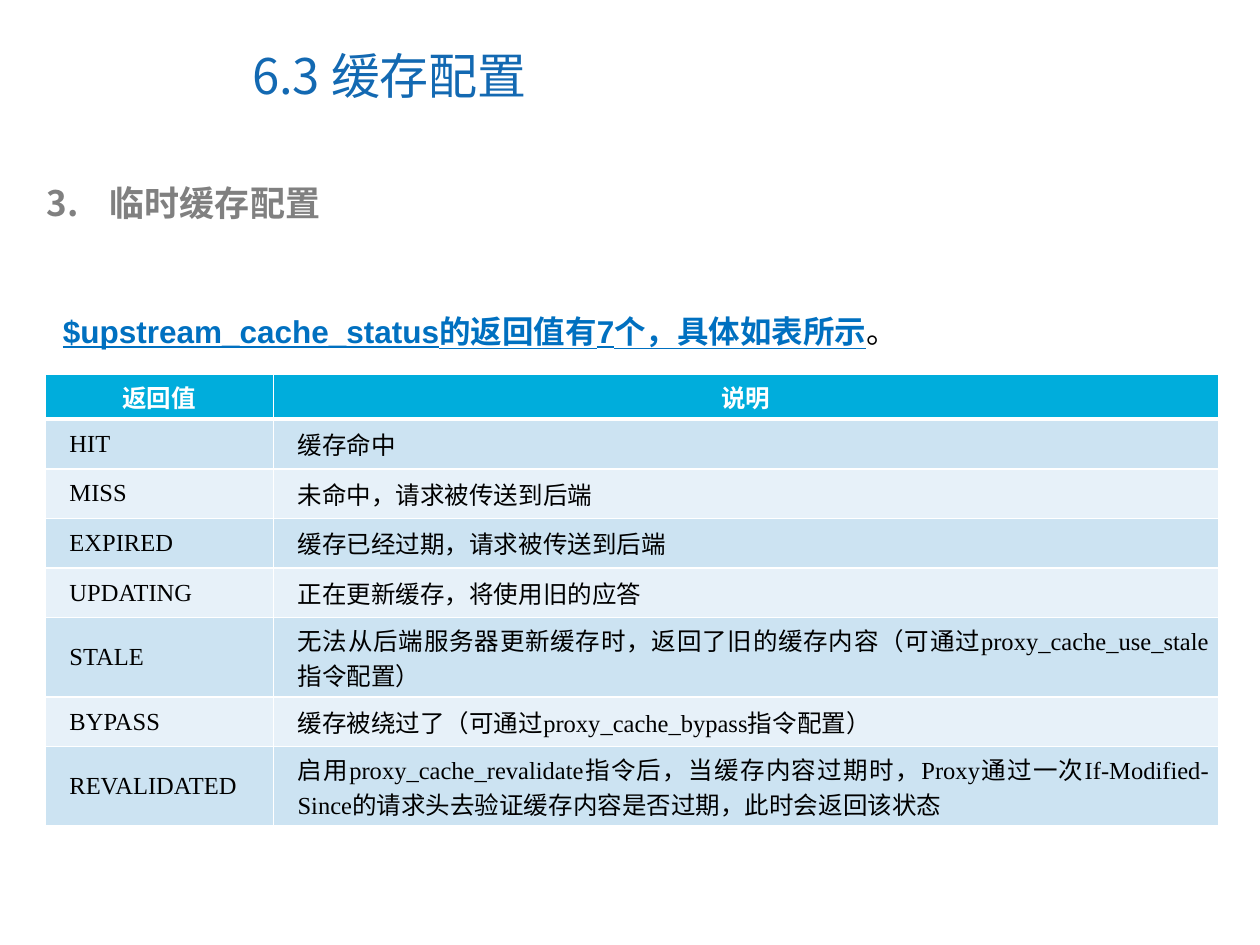
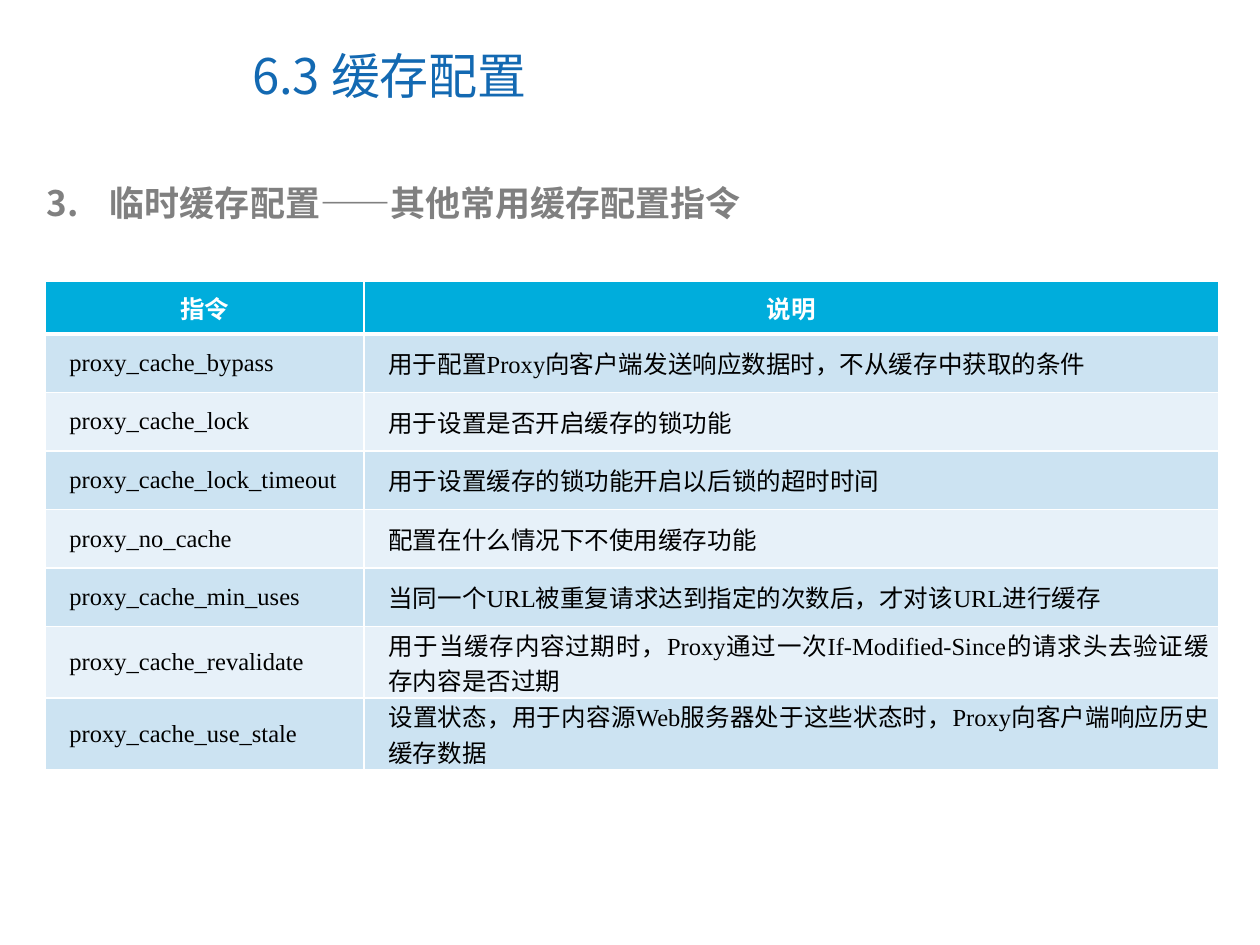
import pptx
import pptx.util
import pptx.dml.color
import pptx.enum.text
import pptx.oxml.ns
import lxml.etree

Cm, Pt = pptx.util.Cm, pptx.util.Pt
ALIGN = pptx.enum.text.PP_ALIGN
MIDDLE = pptx.enum.text.MSO_ANCHOR.MIDDLE

# Content
TITLE = "6.3 缓存配置"
SLIDES = [
    {
        "head": "临时缓存配置",
        "lead": "$upstream_cache_status的返回值有7个，具体如表所示",
        "top": 7.54,
        "cols": (4.6, 19.05),
        "rows": {"head": 0.91, "line": 1.0, "tall": 1.6},
        "table": [
            ("返回值", "说明"),
            ("HIT", "缓存命中"),
            ("MISS", "未命中，请求被传送到后端"),
            ("EXPIRED", "缓存已经过期，请求被传送到后端"),
            ("UPDATING", "正在更新缓存，将使用旧的应答"),
            ("STALE", "无法从后端服务器更新缓存时，返回了旧的缓存内容"
                      "（可通过proxy_cache_use_stale指令配置）"),
            ("BYPASS", "缓存被绕过了（可通过proxy_cache_bypass指令配置）"),
            ("REVALIDATED", "启用proxy_cache_revalidate指令后，当缓存内容过期时，"
                            "Proxy通过一次If-Modified-Since的请求头去验证"
                            "缓存内容是否过期，此时会返回该状态"),
        ],
    },
    {
        "head": "临时缓存配置——其他常用缓存配置指令",
        "lead": None,
        "top": 5.66,
        "cols": (6.43, 17.22),
        "rows": {"head": 1.07, "line": 1.18, "tall": 1.39},
        "table": [
            ("指令", "说明"),
            ("proxy_cache_bypass", "用于配置Proxy向客户端发送响应数据时，不从缓存中获取的条件"),
            ("proxy_cache_lock", "用于设置是否开启缓存的锁功能"),
            ("proxy_cache_lock_timeout", "用于设置缓存的锁功能开启以后锁的超时时间"),
            ("proxy_no_cache", "配置在什么情况下不使用缓存功能"),
            ("proxy_cache_min_uses", "当同一个URL被重复请求达到指定的次数后，才对该URL进行缓存"),
            ("proxy_cache_revalidate", "用于当缓存内容过期时，Proxy通过一次If-Modified-Since"
                                       "的请求头去验证缓存内容是否过期"),
            ("proxy_cache_use_stale", "设置状态，用于内容源Web服务器处于这些状态时，"
                                      "Proxy向客户端响应历史缓存数据"),
        ],
    },
]

# Shared style
COLORS = {"title": "1369B2", "head": "808080", "lead": "0070C0", "text": "000000",
          "white": "FFFFFF", "band": "00ADDC", "odd": "CCE3F2", "even": "E7F1F9"}
HAN = "Noto Sans CJK SC"
LEFT = 0.91
WRAP = 38  # characters that fill one line of the wide column


def rgb(name):
    return pptx.dml.color.RGBColor.from_string(COLORS[name])


def node(parent, tag, **attrs):
    return lxml.etree.SubElement(parent, pptx.oxml.ns.qn(tag), attrs)


def write(para, text, size=14, font=HAN, color="text", bold=False, line=False,
          align=ALIGN.LEFT):
    para.alignment = align
    run = para.add_run()
    run.text = text
    face = run.font
    face.size, face.name, face.bold, face.underline = Pt(size), font, bold, line
    face.color.rgb = rgb(color)
    node(run._r.get_or_add_rPr(), "a:ea", typeface=HAN)


def place(shape, left, top, width, height):
    shape.left, shape.top = Cm(left), Cm(top)
    shape.width, shape.height = Cm(width), Cm(height)
    frame = shape.text_frame
    frame.word_wrap = True
    frame.auto_size = pptx.enum.text.MSO_AUTO_SIZE.NONE
    return frame


def edge(cell, row):
    props = cell._tc.get_or_add_tcPr()
    for side in "LRTB":
        thick = (row, side) in ((0, "B"), (1, "T"))
        rule = node(props, "a:ln" + side, w=str(Pt(3 if thick else 1)))
        node(node(rule, "a:solidFill"), "a:srgbClr", val=COLORS["white"])


def add_grid(slide, data):
    rows, sizes = data["table"], data["rows"]
    highs = [sizes["head"]] + [
        sizes["tall" if len(note) > WRAP else "line"] for _, note in rows[1:]]
    grid = slide.shapes.add_table(
        len(rows), 2, Cm(LEFT), Cm(data["top"]),
        Cm(sum(data["cols"])), Cm(sum(highs))).table
    for col, width in zip(grid.columns, data["cols"]):
        col.width = Cm(width)
    for r, (texts, high) in enumerate(zip(rows, highs)):
        grid.rows[r].height = Cm(high)
        for c, text in enumerate(texts):
            cell = grid.cell(r, c)
            edge(cell, r)
            cell.fill.solid()
            cell.fill.fore_color.rgb = rgb("band" if r == 0 else "odd" if r % 2 else "even")
            cell.vertical_anchor = MIDDLE
            cell.margin_left = cell.margin_right = Cm(0.19)
            cell.margin_top = cell.margin_bottom = 0
            para = cell.text_frame.paragraphs[0]
            if r == 0:
                write(para, text, font="Arial", color="white", bold=True,
                      align=ALIGN.CENTER)
            else:
                write(para, text, font="Times New Roman", align=ALIGN.JUSTIFY)
                para._p.get_or_add_pPr().set("marL", str(Cm(0.3)))


def add_slide(deck, data):
    slide = deck.slides.add_slide(deck.slide_layouts[1])

    # Title
    frame = place(slide.shapes.title, 4.83, 0.43, 14.4, 2.16)
    frame.vertical_anchor = MIDDLE
    write(frame.paragraphs[0], TITLE, size=28, color="title")

    # Numbered heading
    para = place(slide.placeholders[1], 0.69, 3.53, 23.42, 1.12).paragraphs[0]
    write(para, data["head"], size=20, color="head", bold=True)
    para.space_before = Pt(0)
    props = para._p.get_or_add_pPr()
    props.set("marL", str(Cm(1.27)))
    props.set("indent", str(Cm(-1.27)))
    node(props, "a:buFont", typeface=HAN)
    node(props, "a:buAutoNum", type="arabicPeriod", startAt="3")

    # Lead sentence
    if data["lead"]:
        box = slide.shapes.add_textbox(0, 0, 0, 0)
        para = place(box, 1.02, 5.41, 23.34, 1.8).paragraphs[0]
        para.line_spacing = 2.0
        write(para, data["lead"], size=18, font="Arial", color="lead",
              bold=True, line=True)
        write(para, "。", size=18, font="Arial")

    add_grid(slide, data)


def main():
    deck = pptx.Presentation()
    deck.slide_width, deck.slide_height = Cm(25.4), Cm(19.05)
    for data in SLIDES:
        add_slide(deck, data)
    deck.save("out.pptx")


if __name__ == "__main__":
    main()
